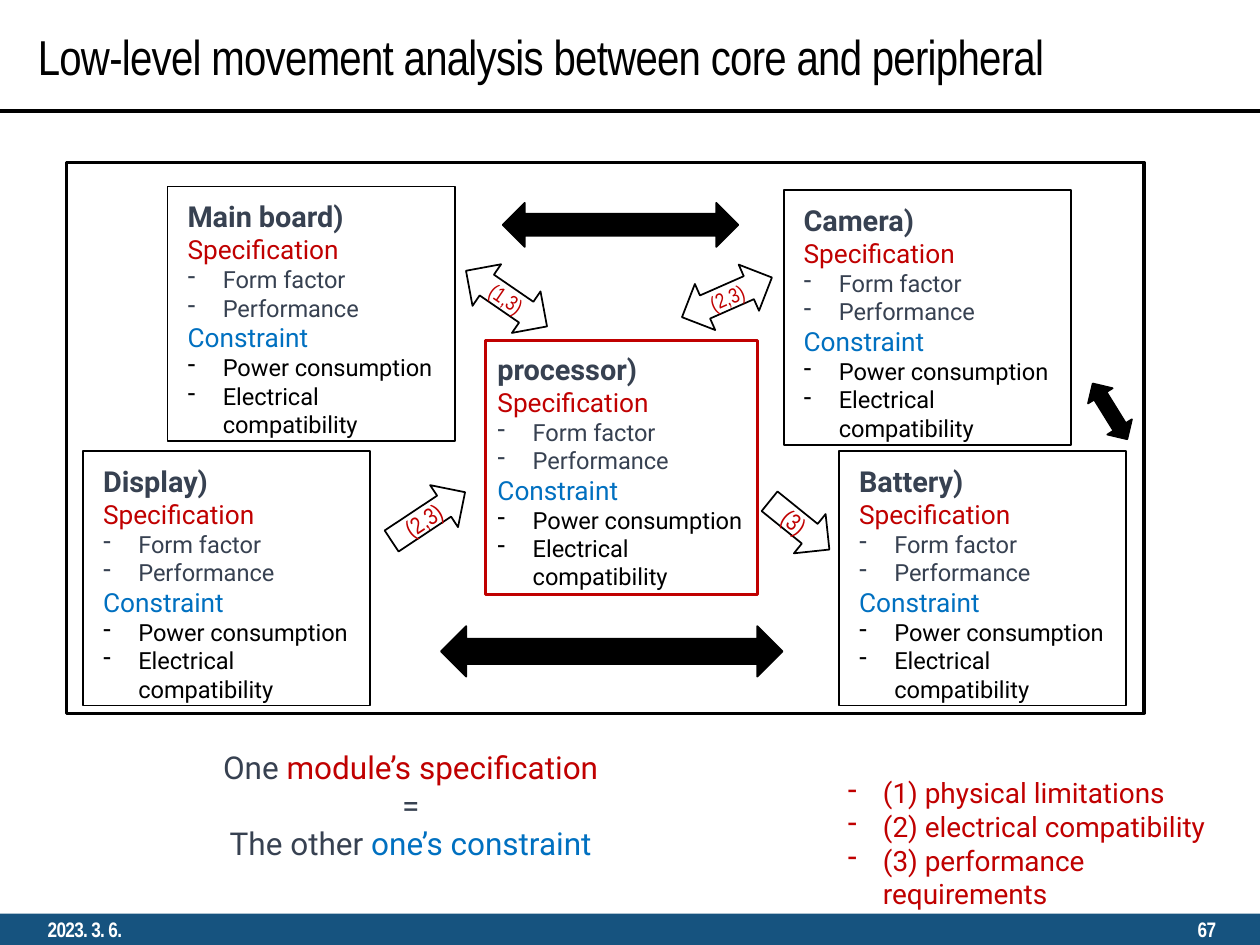
from lxml import etree
from pptx import Presentation
from pptx.dml.color import RGBColor
from pptx.enum import shapes as kinds, text as txt
from pptx.oxml import ns
from pptx.util import Inches, Pt

INK = {"black": "000000", "white": "FFFFFF", "red": "C00000",
       "blue": "0070C0", "slate": "374151", "bar": "16537F"}
RECT = kinds.MSO_SHAPE.RECTANGLE
BOTH = kinds.MSO_SHAPE.LEFT_RIGHT_ARROW
RIGHT = kinds.MSO_SHAPE.RIGHT_ARROW
MID = txt.MSO_ANCHOR.MIDDLE
ALIGN = txt.PP_ALIGN


def rgb(name):
    return RGBColor.from_string(INK[name])


def style(run, size, ink, face="Roboto", bold=False, gap=None):
    font = run.font
    font.size, font.name, font.bold = Pt(size), face, bold
    font.color.rgb = rgb(ink)
    if gap is not None:
        run._r.get_or_add_rPr().set("spc", str(round(gap * 100)))


def dash(para, indent=0.28):
    """Give the paragraph a hanging dash as its bullet."""
    props = para._p.get_or_add_pPr()
    props.set("marL", str(Inches(indent)))
    props.set("indent", str(-Inches(indent)))
    etree.SubElement(props, ns.qn("a:buChar")).set("char", "-")


def shape(home, kind, box, fill=None, line=None, width=1):
    item = home.add_shape(kind, *map(Inches, box))
    item.shadow.inherit = False
    if fill:
        item.fill.solid()
        item.fill.fore_color.rgb = rgb(fill)
    else:
        item.fill.background()
    if line:
        item.line.color.rgb = rgb(line)
        item.line.width = Pt(width)
    else:
        item.line.fill.background()
    return item


def note(home, box):
    frame = home.add_textbox(*map(Inches, box)).text_frame
    frame.word_wrap = True
    return frame


def lines(frame, rows):
    """Fill the frame; each row is text, size, ink, bold, dashed."""
    frame.text = "\n".join(row[0] for row in rows)
    for para, (_, size, ink, bold, dashed) in zip(frame.paragraphs, rows):
        if dashed:
            dash(para)
        style(para.runs[0], size, ink, bold=bold)


def module(slide, name, box, line="black", width=1, shift=(0.06, 0.05)):
    left, top, wide, high = box
    group = slide.shapes.add_group_shape().shapes
    shape(group, RECT, box, line=line, width=width)
    frame = note(group, (left + shift[0], top + shift[1], 2.16, high))
    lines(frame, [
        (name + ")", 16.5, "slate", True, False),
        ("Specification", 15, "red", False, False),
        ("Form factor", 13.5, "slate", False, True),
        ("Performance", 13.5, "slate", False, True),
        ("Constraint", 15, "blue", False, False),
        ("Power consumption", 13.5, "black", False, True),
        ("Electrical compatibility", 13.5, "black", False, True)])


def arrow(slide, kind, box, turn=0, label=None, size=12):
    item = shape(slide.shapes, kind, box, None if label else "black", "black")
    item.rotation = turn
    if label:
        frame = item.text_frame
        frame.margin_left = frame.margin_right = 0
        frame.margin_top = frame.margin_bottom = 0
        frame.word_wrap = False
        frame.vertical_anchor = MID
        frame.text = label
        frame.paragraphs[0].alignment = ALIGN.CENTER
        style(frame.paragraphs[0].runs[0], size, "red", "Arial Narrow")


def header(slide, box):
    left, top, wide, high = map(Inches, box)
    title = slide.shapes.title
    title.left, title.top, title.width, title.height = left, top, wide, high
    frame = title.text_frame
    frame.text = "Low-level movement analysis between core and peripheral"
    frame.auto_size = txt.MSO_AUTO_SIZE.NONE
    frame.vertical_anchor = MID
    frame.paragraphs[0].alignment = ALIGN.LEFT
    style(frame.paragraphs[0].runs[0], 28, "black", "Arial Narrow", gap=-0.4)
    y = top + high + Inches(0.12)
    rule = slide.shapes.add_connector(
        kinds.MSO_CONNECTOR.STRAIGHT, 0, y, Inches(10), y)
    rule.line.color.rgb = rgb("black")
    rule.line.width = Pt(2)
    etree.SubElement(rule._element.spPr, ns.qn("a:effectLst"))


def footer(slide, box):
    left, top, wide, high = box
    shape(slide.shapes, RECT, box, fill="bar")
    for words, x, side in (("2023. 3. 6.", left + 0.28, ALIGN.LEFT),
                           ("67", left + wide - 2.5, ALIGN.RIGHT)):
        frame = note(slide.shapes, (x, top, 2.25, high))
        frame.vertical_anchor = MID
        frame.text = words
        frame.paragraphs[0].alignment = side
        style(frame.paragraphs[0].runs[0], 12, "white", "Arial Narrow",
              True, -0.4)


def diagram(slide, box):
    left, top = box[:2]

    def place(x, y, wide, high):
        return left + x, top + y, wide, high

    module(slide, "processor", place(3.32, 1.41, 2.16, 2.02),
           "red", 1.75, (0, 0.04))
    shape(slide.shapes, RECT, box, line="black", width=1.75)
    for name, x, y in (("Main board", 0.8, 0.19), ("Camera", 5.69, 0.22),
                       ("Display", 0.13, 2.29), ("Battery", 6.13, 2.29)):
        module(slide, name, place(x, y, 2.28, 2.02))
    arrow(slide, BOTH, place(3.1, 0.88, 0.78, 0.4), 34.5, "(1,3)")
    arrow(slide, RIGHT, place(2.52, 2.61, 0.7, 0.4), 326.4, "(2,3)", 13.5)
    arrow(slide, BOTH, place(4.85, 0.87, 0.78, 0.4), 336.2, "(2,3)")
    arrow(slide, RIGHT, place(5.51, 2.68, 0.61, 0.4), 38.9, "(3)", 13.5)
    arrow(slide, BOTH, place(2.97, 3.68, 2.71, 0.4))
    arrow(slide, BOTH, place(8.02, 1.86, 0.52, 0.23), 238.2)
    arrow(slide, BOTH, place(3.46, 0.32, 1.87, 0.35))


def motto(slide, box):
    frame = note(slide.shapes, box)
    rows = ([("One ", "slate"), ("module’s specification", "red")],
            [("=", "slate")],
            [("The other ", "slate"), ("one’s constraint", "blue")])
    for i, row in enumerate(rows):
        para = frame.add_paragraph() if i else frame.paragraphs[0]
        para.alignment = ALIGN.CENTER
        for words, ink in row:
            run = para.add_run()
            run.text = words
            style(run, 18, ink)


def legend(slide, box):
    names = ("(1) physical limitations", "(2) electrical compatibility",
             "(3) performance requirements")
    lines(note(slide.shapes, box),
          [(name, 16, "red", False, True) for name in names])


def main():
    deck = Presentation()
    deck.slide_width, deck.slide_height = Inches(10), Inches(7.5)
    slide = deck.slides.add_slide(deck.slide_layouts[5])
    header(slide, (0.2, 0.12, 9.38, 0.64))
    footer(slide, (0, 7.25, 10, 0.25))
    diagram(slide, (0.53, 1.29, 8.55, 4.37))
    motto(slide, (0.53, 5.89, 5.46, 1.01))
    legend(slide, (6.63, 6.11, 3.37, 0.94))
    deck.save("out.pptx")


if __name__ == "__main__":
    main()
